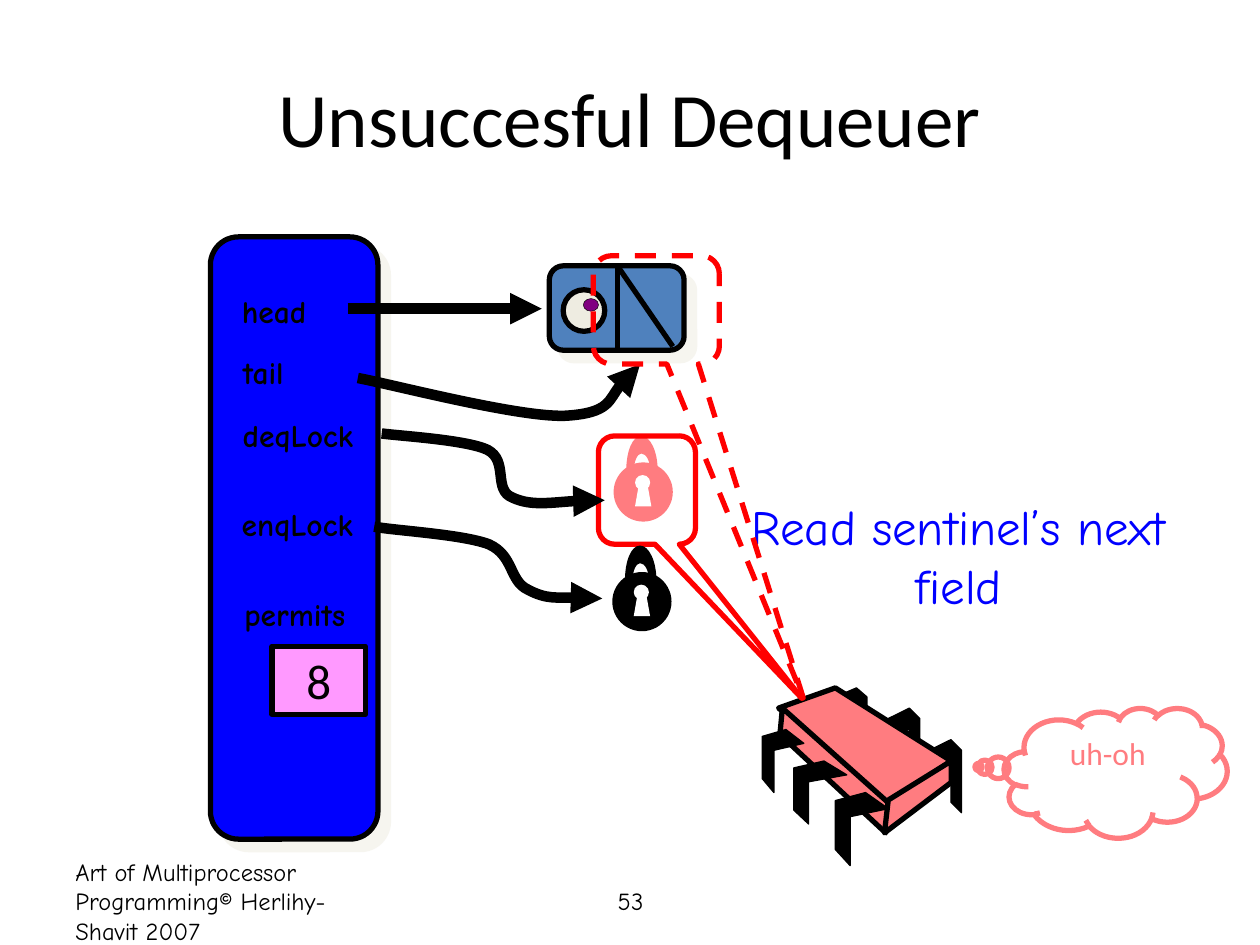
from dataclasses import dataclass
from typing import Optional

from lxml import etree
from pptx import Presentation
from pptx.dml.color import RGBColor
from pptx.enum.dml import MSO_LINE
from pptx.enum.shapes import MSO_CONNECTOR, MSO_SHAPE
from pptx.enum.text import MSO_ANCHOR, MSO_AUTO_SIZE, PP_ALIGN
from pptx.oxml.ns import qn
from pptx.util import Cm, Pt

ROUNDED, OVAL, RECT = MSO_SHAPE.ROUNDED_RECTANGLE, MSO_SHAPE.OVAL, MSO_SHAPE.RECTANGLE
CALLOUT, CLOUD = MSO_SHAPE.ROUNDED_RECTANGULAR_CALLOUT, MSO_SHAPE.CLOUD_CALLOUT
STRAIGHT, DASH = MSO_CONNECTOR.STRAIGHT, MSO_LINE.DASH
TOP, MIDDLE = MSO_ANCHOR.TOP, MSO_ANCHOR.MIDDLE
LEFT, CENTER = PP_ALIGN.LEFT, PP_ALIGN.CENTER
GROW = MSO_AUTO_SIZE.SHAPE_TO_FIT_TEXT
COMIC, PLAIN = "Comic Neue", "Calibri"
BLACK, WHITE, RED, BLUE = "000000", "FFFFFF", "FF0000", "0000FF"
SALMON, CREAM = "FF7C80", "EEECE1"


@dataclass
class Font:
    size: float
    name: str = COMIC
    color: str = BLACK
    bold: bool = False


@dataclass
class Stroke:
    width: float
    color: str = BLACK
    dash: bool = False
    arrow: bool = False


@dataclass
class Label:
    text: str
    top: float
    width: float


OUTLINE, THIN = Stroke(3), Stroke(0.75)
ARROW = Stroke(6, arrow=True)


def unit(value: float) -> int:
    """Turn a grid unit of 2.54 cm into a slide length."""
    return Cm(value * 2.54)


def color(value: str) -> RGBColor:
    return RGBColor.from_string(value)


def apply_line(shape, stroke: Optional[Stroke]) -> None:
    line = shape.line
    if stroke is None:
        line.fill.background()
        return
    line.color.rgb = color(stroke.color)
    line.width = Pt(stroke.width)
    if stroke.dash:
        line.dash_style = DASH
    if stroke.arrow:
        outline = shape._element.spPr.find(qn("a:ln"))
        etree.SubElement(outline, qn("a:tailEnd"), type="triangle")


def apply_style(shape, fill: Optional[str], stroke: Optional[Stroke]) -> None:
    if fill:
        shape.fill.solid()
        shape.fill.fore_color.rgb = color(fill)
    else:
        shape.fill.background()
    apply_line(shape, stroke)
    shape.shadow.inherit = False


def add_preset(shapes, kind, box, fill=None, stroke=None, adjust=(), flip=False):
    shape = shapes.add_shape(kind, *map(unit, box))
    for index, value in enumerate(adjust):
        shape.adjustments[index] = value
    if flip:
        shape._element.spPr.find(qn("a:xfrm")).set("flipH", "1")
    apply_style(shape, fill, stroke)
    return shape


def add_shadow(shape) -> None:
    effects = shape._element.spPr.find(qn("a:effectLst"))
    shadow = etree.SubElement(effects, qn("a:outerShdw"), dist=str(Pt(8.5)),
                              dir=str(45 * 60000), algn="ctr", rotWithShape="0")
    tint = etree.SubElement(shadow, qn("a:srgbClr"), val=CREAM)
    etree.SubElement(tint, qn("a:alpha"), val="50000")


def add_outline(shapes, start, steps, fill=None, stroke=None, close=True):
    """Draw steps of one point (straight) or three points (Bézier curve)."""
    points = [(unit(step[i]), unit(step[i + 1]))
              for step in steps for i in range(0, len(step), 2)]
    builder = shapes.build_freeform(unit(start[0]), unit(start[1]))
    builder.add_line_segments(points, close=close)
    shape = builder.convert_to_shape()
    segments = iter(list(shape._element.iter(qn("a:lnTo"))))
    for step in steps:
        first = next(segments)
        if len(step) == 6:
            first.tag = qn("a:cubicBezTo")
            for _ in range(2):
                extra = next(segments)
                first.append(extra[0])
                extra.getparent().remove(extra)
    apply_style(shape, fill, stroke)
    return shape


def add_line(shapes, start, end, stroke: Stroke) -> None:
    line = shapes.add_connector(STRAIGHT, *map(unit, (*start, *end)))
    apply_line(line, stroke)
    etree.SubElement(line._element.spPr, qn("a:effectLst"))


def write(shape, text: str, font: Font, align=CENTER, anchor=TOP, wrap=True) -> None:
    frame = shape.text_frame
    frame.word_wrap = wrap
    frame.vertical_anchor = anchor
    para = frame.paragraphs[0]
    para.alignment = align
    span = para.add_run()
    span.text = text
    span.font.size = Pt(font.size)
    span.font.name = font.name
    span.font.bold = font.bold
    span.font.color.rgb = color(font.color)


def add_text(shapes, box, text: str, font: Font, grow=False, **layout) -> None:
    shape = shapes.add_textbox(*map(unit, box))
    write(shape, text, font, **layout)
    if grow:
        shape.text_frame.auto_size = GROW


def add_lock(page, x: float, y: float, fill: str) -> None:
    shapes = page.shapes.add_group_shape().shapes
    add_preset(shapes, OVAL, (x, y + 0.21, 0.47, 0.47), fill)
    add_preset(shapes, OVAL, (x + 0.17, y + 0.31, 0.12, 0.12), WHITE)
    keyhole = [(0.2, 0.39), (0.27, 0.39), (0.3, 0.56)]
    shackle = [(0.16, 0.2, 0.19, 0.14, 0.22, 0.14), (0.26, 0.14, 0.29, 0.2, 0.29, 0.28),
               (0.35, 0.28), (0.35, 0.12, 0.29, 0, 0.22, 0), (0.15, 0, 0.1, 0.12, 0.1, 0.28)]
    for start, steps, shade in [((0.17, 0.56), keyhole, WHITE), ((0.16, 0.28), shackle, fill)]:
        moved = [tuple(v + (y if i % 2 else x) for i, v in enumerate(step)) for step in steps]
        add_outline(shapes, (x + start[0], y + start[1]), moved, shade)


def add_processor(page) -> None:
    shapes = page.shapes.add_group_shape().shapes
    back_leg = [(0, 1 / 7), (0.67, 0), (1, 1 / 7), (1, 1), (0.67, 6 / 7), (0.67, 2 / 7), (0, 3 / 7)]
    front_leg = [(0.57, 0), (1, 0.22), (0.28, 0.33), (0.28, 1), (0, 0.78), (0, 0.11)]
    back_boxes = [(7.38, 5.87, 0.25, 0.58), (7.05, 5.62, 0.25, 0.58), (6.63, 5.46, 0.25, 0.5)]
    front_boxes = [(6.63, 6.29, 0.42, 0.58), (6.3, 6.04, 0.42, 0.5), (6.05, 5.79, 0.33, 0.5)]
    faces = [[(6.63, 5.46), (7.55, 6.04), (7.03, 6.39), (6.18, 5.62)],
             [(6.21, 5.62), (7.05, 6.37), (7.03, 6.61), (6.19, 5.83)],
             [(7.55, 6.04), (7.55, 6.21), (7.02, 6.61), (7.05, 6.35)]]

    def add_legs(leg, boxes) -> None:
        for x, y, width, height in boxes:
            start, *steps = [(x + u * width, y + v * height) for u, v in leg]
            add_outline(shapes, start, steps, BLACK, THIN)

    add_legs(back_leg, back_boxes)
    for start, *steps in faces:
        add_outline(shapes, start, steps, SALMON, OUTLINE)
    add_legs(front_leg, front_boxes)


def main() -> None:
    deck = Presentation()
    deck.slide_width, deck.slide_height = unit(10), unit(7.5)
    page = deck.slides.add_slide(deck.slide_layouts[5])
    shapes = page.shapes

    # Title and footer
    title = shapes.title
    title.left, title.top, title.width, title.height = map(unit, (0.5, 0.3, 9, 1.25))
    write(title, "Unsuccesful Dequeuer", Font(44, PLAIN), anchor=MIDDLE)
    add_text(shapes, (0.5, 6.95, 2.33, 0.4), "Art of Multiprocessor Programming© Herlihy-Shavit 2007",
             Font(14), align=LEFT, anchor=MIDDLE)
    add_text(shapes, (3.42, 6.95, 3.17, 0.4), "53", Font(14), anchor=MIDDLE)

    # Queue object and its fields
    add_shadow(add_preset(shapes, ROUNDED, (1.67, 1.88, 1.33, 4.78), BLUE, OUTLINE, [0.167]))
    for label in [Label("head", 2.27, 0.77), Label("tail", 2.75, 0.6), Label("deqLock", 3.25, 1.15),
                  Label("enqLock", 3.96, 1.14), Label("permits", 4.67, 1.1)]:
        add_text(shapes, (1.79, label.top, label.width, 0.4), label.text,
                 Font(18, bold=True), grow=True, wrap=False)
    permits = add_preset(shapes, RECT, (2.16, 5.13, 0.74, 0.54), "FF99FF", OUTLINE)
    write(permits, "8", Font(28, PLAIN), anchor=MIDDLE, wrap=False)

    # Locks, processor and its thoughts
    add_lock(page, 4.87, 3.46, SALMON)
    add_processor(page)
    add_text(shapes, (5.76, 3.89, 3.7, 1.03), "Read sentinel’s next field", Font(28, color=BLUE), grow=True)
    cloud = add_preset(shapes, CLOUD, (7.97, 5.62, 1.77, 1.03), None, Stroke(3, SALMON), [-0.615, -0.046])
    write(cloud, "uh-oh", Font(18, PLAIN, SALMON))
    add_preset(shapes, CALLOUT, (4.75, 3.46, 0.77, 0.86), None, Stroke(3, RED), [-1.598, 1.923, 0.167], True)

    # Sentinel node
    add_shadow(add_preset(shapes, ROUNDED, (4.36, 2.11, 1.07, 0.67), "4F81BD", OUTLINE, [0.167]))
    add_line(shapes, (4.9, 2.11), (4.9, 2.78), OUTLINE)
    add_preset(shapes, OVAL, (4.47, 2.3, 0.33, 0.33), CREAM, OUTLINE)
    add_preset(shapes, OVAL, (4.63, 2.37, 0.12, 0.1), "800080", Stroke(0.25))
    add_line(shapes, (4.9, 2.11), (5.34, 2.75), OUTLINE)

    # Pointers from the fields
    add_line(shapes, (2.76, 2.45), (4.3, 2.45), ARROW)
    for start, steps in [
        ((2.84, 3), [(3.11, 3.05, 4.1, 3.31, 4.48, 3.3), (4.85, 3.28, 4.95, 2.97, 5.08, 2.89)]),
        ((3.03, 3.44), [(3.17, 3.46, 3.7, 3.49, 3.87, 3.57), (4.04, 3.66, 3.91, 3.89, 4.07, 3.95),
                        (4.22, 4.02, 4.65, 3.96, 4.8, 3.97)]),
        ((2.97, 4.18), [(3.12, 4.21, 3.67, 4.24, 3.88, 4.32), (4.08, 4.41, 4.04, 4.61, 4.19, 4.68),
                        (4.34, 4.76, 4.65, 4.74, 4.78, 4.75)]),
    ]:
        add_outline(shapes, start, steps, stroke=ARROW, close=False)

    # Free lock and the dashed read callout
    add_lock(page, 4.86, 4.33, BLACK)
    add_preset(shapes, CALLOUT, (4.71, 2.03, 1, 0.86), None, Stroke(3, RED, dash=True), [-1.166, 3.581, 0.167], True)
    deck.save("out.pptx")


if __name__ == "__main__":
    main()
